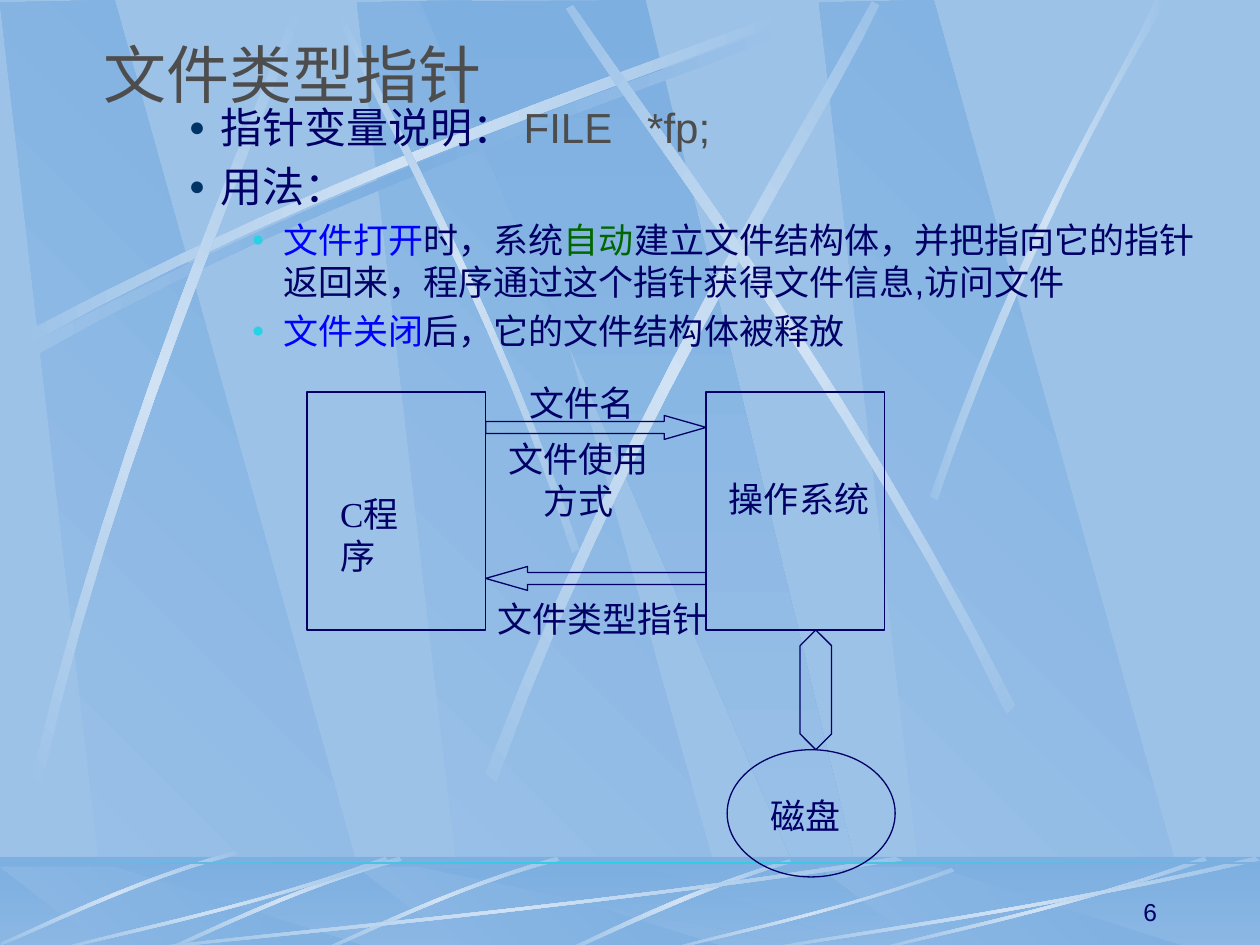
from copy import deepcopy

from lxml.etree import SubElement
from pptx import Presentation
from pptx.dml.color import RGBColor
from pptx.enum.shapes import MSO_SHAPE
from pptx.enum.text import MSO_ANCHOR, PP_ALIGN
from pptx.oxml.ns import qn
from pptx.util import Pt

SKY = RGBColor(0x9C, 0xC2, 0xE8)
DEEP = RGBColor(0x7D, 0xAF, 0xE1)
PALE = RGBColor(0xD0, 0xE2, 0xF4)
CYAN = RGBColor(0x26, 0xD2, 0xE4)
NAVY = RGBColor(0x00, 0x00, 0x66)
TEAL = RGBColor(0x00, 0x33, 0x66)
BLUE = RGBColor(0x00, 0x00, 0xFF)
GREEN = RGBColor(0x00, 0x66, 0x00)
GRAY = RGBColor(0x4D, 0x4D, 0x4D)

prs = Presentation()
prs.slide_width, prs.slide_height = Pt(720), Pt(540)
slide = prs.slides.add_slide(prs.slide_layouts[5])
slide.background.fill.solid()
slide.background.fill.fore_color.rgb = SKY
shapes = slide.shapes


def shade(shape, colors, clockwise=0):
    """Fill a borderless shape with an evenly spaced linear gradient."""
    shape.shadow.inherit = False
    shape.line.fill.background()
    shape.fill.gradient()
    shape.fill.gradient_angle = (360 - clockwise) % 360
    first = shape._element.spPr.find(".//" + qn("a:gs"))
    for _ in colors[2:]:
        first.addnext(deepcopy(first))
    for i, (stop, color) in enumerate(zip(shape.fill.gradient_stops, colors)):
        stop.position = i / (len(colors) - 1)
        stop.color.rgb = color


def draw_outline(points, colors, clockwise=0, dx=0, dy=0):
    """Draw a closed shaded outline; eight points mean two Bezier edges."""
    if len(points) == 8:
        edges = []
        for p0, p1, p2, p3 in (points[:4], points[4:]):
            for t in [step / 12 for step in range(13)]:
                edges.append([a * (1 - t) ** 3 + 3 * b * t * (1 - t) ** 2
                              + 3 * c * t * t * (1 - t) + d * t ** 3
                              for a, b, c, d in zip(p0, p1, p2, p3)])
        points = edges
    points = [(Pt(x + dx), Pt(y + dy)) for x, y in points]
    builder = shapes.build_freeform(*points[0])
    builder.add_line_segments(points[1:], close=True)
    shade(builder.convert_to_shape(), colors, clockwise)


# Wall: slanted panes and light streaks
GLOW = (SKY, PALE, SKY)
PANE_LEFTS = (204, 0, 468)
for left in PANE_LEFTS:
    draw_outline([(62, 540), (217, 541), (65.5, 0), (0, 1.5)], (SKY, DEEP), 315, left)
draw_outline([(240, 0.7), (474, 541), (500, 541), (369, 0)], (DEEP, SKY), 90)

long_streak = [(14.4, 198), (204.5, 96.5), (377.3, 42.5), (450.7, 13),
               (452.9, 17.3), (380.2, 49.7), (182.9, 108.7), (16.6, 205.2)]
draw_outline(long_streak, (SKY, DEEP, SKY))
draw_outline(long_streak, GLOW, 0, -4.3, -5.8)
wall_streaks = [
    (45, [(331.2, 313.9), (281.5, 168.5), (217.4, 55.4), (193.7, 3.6),
          (190.8, 5), (212.4, 56.9), (286.6, 185.8), (326.9, 316.1)]),
    (311.7, [(16.6, 450), (67, 240.5), (141.8, 75.6), (169.2, 1.4),
             (173.5, 2.9), (149, 78.5), (61.9, 265), (23, 452.9)]),
    (321.6, [(277.2, 442.1), (358.6, 230.4), (459.4, 73.4), (498.2, 0.7),
             (502.6, 2.9), (467.3, 77.8), (349.9, 255.6), (283.7, 447.1)]),
    (34.7, [(580.3, 403.2), (482.4, 211), (371.5, 68.4), (327.6, 2.9),
            (323.3, 5), (365, 72.7), (493.2, 234), (575.3, 408.2)]),
    (0, [(531.4, 283.7), (586.1, 124.6), (639.4, 47.5), (660.2, 0),
         (667.4, 0), (601.9, 104.4), (553.7, 231.8), (535.7, 285.8)]),
]
for angle, streak in wall_streaks:
    draw_outline(streak, GLOW, angle)

# Floor: panes under a translucent veil, then streaks and the horizon
FLOOR = (Pt(0), Pt(489.6), Pt(720), Pt(54))
shade(shapes.add_shape(MSO_SHAPE.RECTANGLE, *FLOOR), (DEEP, SKY), 90)
for left in PANE_LEFTS:
    draw_outline([(62, 543), (217, 543.5), (65.5, 495.4), (0, 495.4)],
                 (SKY, DEEP), 315, left)
draw_outline([(240, 495.4), (474, 543.5), (500, 543.5), (369, 495.4)], (DEEP, SKY), 90)
veil = shapes.add_shape(MSO_SHAPE.RECTANGLE, *FLOOR)
veil.shadow.inherit = False
veil.line.fill.background()
veil.fill.solid()
veil.fill.fore_color.rgb = DEEP
SubElement(veil._element.spPr.find(".//" + qn("a:srgbClr")), qn("a:alpha"), val="50000")

draw_outline([(451.4, 491), (386.6, 510.5), (343.4, 534.2), (322.6, 542.9),
              (326.2, 543.6), (352.8, 531.4), (411.1, 504), (452.2, 493.2)], GLOW)
for dx, dy in ((0, 0), (-90, 0), (-184, -3.5)):
    draw_outline([(318.2, 489.6), (255.6, 507.6), (206.6, 532.8), (184.3, 542.2),
                  (185, 543.6), (207.4, 535), (262.8, 506.2), (319.7, 491.8)],
                 GLOW, 315, dx, dy)
unit_streak = [(1, 0.04), (0.57, 0.57), (0.17, 0.85), (0.01, 1),
               (0, 0.99), (0.16, 0.81), (0.62, 0.51), (0.99, 0)]
for left, top, width, height in ((72, 489.6, 444, 54), (30, 489.6, 192, 54),
                                 (379.5, 496, 166, 47.5), (498, 489.6, 192, 54),
                                 (432, 489.6, 288, 54)):
    draw_outline([(x * width, y * height) for x, y in unit_streak], GLOW, 0, left, top)
horizon = shapes.add_shape(MSO_SHAPE.RECTANGLE, Pt(0), Pt(492.5), Pt(720), Pt(1.5))
shade(horizon, (DEEP, CYAN, DEEP))

# Bulleted explanation
explanation = shapes.add_textbox(Pt(28.8), Pt(17.3), Pt(673.2), Pt(247.7)).text_frame
explanation.word_wrap = True
explanation.margin_top = Pt(41)
bullets = [
    (2, [("指针变量说明： ", NAVY), ("FILE   *fp;", GRAY)]),
    (2, [("用法：", NAVY)]),
    (3, [("文件打开", BLUE), ("时，系统", NAVY), ("自动", GREEN),
         ("建立文件结构体，并把指向它的指针返回来，程序通过这个指针获得文件信息,访问文件", NAVY)]),
    (3, [("文件关闭", BLUE), ("后，它的文件结构体被释放", NAVY)]),
]
BULLET_STYLES = {2: (24, 90, TEAL, 65), 3: (20, 126, CYAN, 60)}
for i, (level, parts) in enumerate(bullets):
    size, indent, bullet_color, percent = BULLET_STYLES[level]
    paragraph = explanation.paragraphs[0] if i == 0 else explanation.add_paragraph()
    paragraph.level = level - 1
    paragraph.space_before = Pt(size * 0.2)
    for words, color in parts:
        run = paragraph.add_run()
        run.text = words
        run.font.size, run.font.name = Pt(size), "Arial"
        run.font.color.rgb = color
    props = paragraph._p.get_or_add_pPr()
    props.set("marL", str(Pt(indent)))
    props.set("indent", str(Pt(-18)))
    SubElement(SubElement(props, qn("a:buClr")), qn("a:srgbClr"), val=str(bullet_color))
    SubElement(props, qn("a:buSzPct"), val=str(percent * 1000))
    SubElement(props, qn("a:buFont"), typeface="Arial")
    SubElement(props, qn("a:buChar"), char="●")

# Diagram of program, operating system and disk
diagram = [
    (MSO_SHAPE.RECTANGLE, 175.5, 224, 102, 136, ()),
    (MSO_SHAPE.RECTANGLE, 403.5, 224, 102, 136, ()),
    (MSO_SHAPE.OVAL, 415.5, 428.4, 96, 72.7, ()),
    (MSO_SHAPE.RIGHT_ARROW, 277.5, 237.4, 126, 13.7, (0.5, 1.75)),
    (MSO_SHAPE.LEFT_ARROW, 277.5, 323.7, 126, 13.7, (0.5, 1.75)),
    (MSO_SHAPE.UP_DOWN_ARROW, 457.2, 360, 18, 68.4, (0.5, 1)),
]
for kind, left, top, width, height, adjustments in diagram:
    part = shapes.add_shape(kind, Pt(left), Pt(top), Pt(width), Pt(height))
    for i, value in enumerate(adjustments):
        part.adjustments[i] = value
    part.shadow.inherit = False
    part.fill.background()
    part.line.color.rgb = NAVY
    part.line.width = Pt(0.75)

SERIF = "Times New Roman"
labels = [
    ("文件名", 295.2, 214.6, 74.4, 31, False, PP_ALIGN.LEFT, 20, SERIF),
    ("文件使用\n方式", 283.7, 246.2, 94.4, 55.4, False, PP_ALIGN.CENTER, 20, SERIF),
    ("文件类型指针", 277.2, 337.7, 134.6, 31, False, PP_ALIGN.LEFT, 20, SERIF),
    ("C程序", 187.2, 278, 67.5, 31, True, PP_ALIGN.LEFT, 20, SERIF),
    ("操作系统", 409.5, 269.3, 94.4, 31, False, PP_ALIGN.LEFT, 20, SERIF),
    ("磁盘", 433.4, 450.7, 54.5, 31, False, PP_ALIGN.LEFT, 20, SERIF),
    ("6", 518.4, 496.8, 149.8, 36, True, PP_ALIGN.RIGHT, 14, "Arial"),
]
for words, left, top, width, height, wraps, align, size, font in labels:
    label = shapes.add_textbox(Pt(left), Pt(top), Pt(width), Pt(height)).text_frame
    label.text = words
    label.word_wrap = wraps
    for paragraph in label.paragraphs:
        paragraph.alignment = align
        run = paragraph.runs[0]
        run.font.size, run.font.name = Pt(size), font
        run.font.color.rgb = NAVY
label.vertical_anchor = MSO_ANCHOR.BOTTOM

# Title, brought in front of the background
title = shapes.title
title.left, title.top, title.width, title.height = Pt(45.4), Pt(16.6), Pt(243.4), Pt(50.4)
title.text_frame.text = "文件类型指针"
title.text_frame.vertical_anchor = MSO_ANCHOR.MIDDLE
heading = title.text_frame.paragraphs[0]
heading.alignment = PP_ALIGN.CENTER
heading.runs[0].font.size, heading.runs[0].font.name = Pt(36), "Montserrat"
heading.runs[0].font.color.rgb = GRAY
title._element.getparent().append(title._element)

prs.save("out.pptx")
